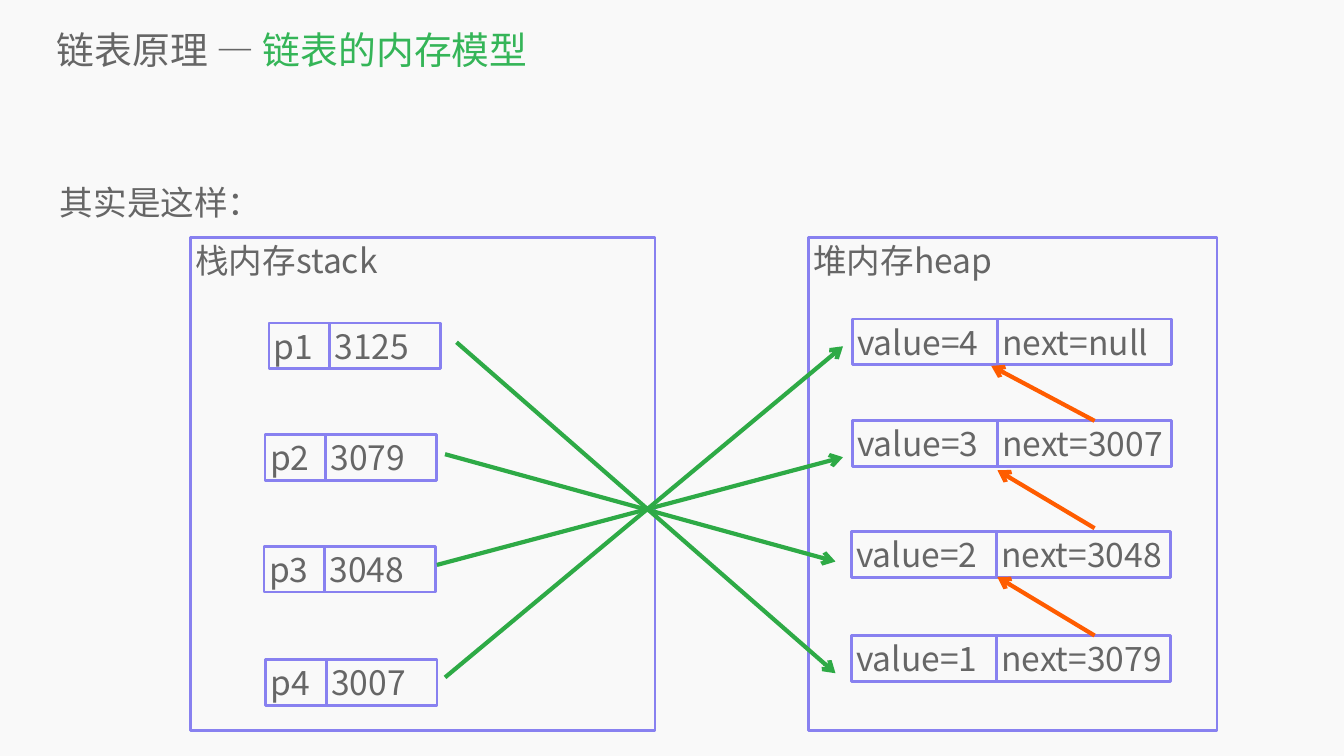
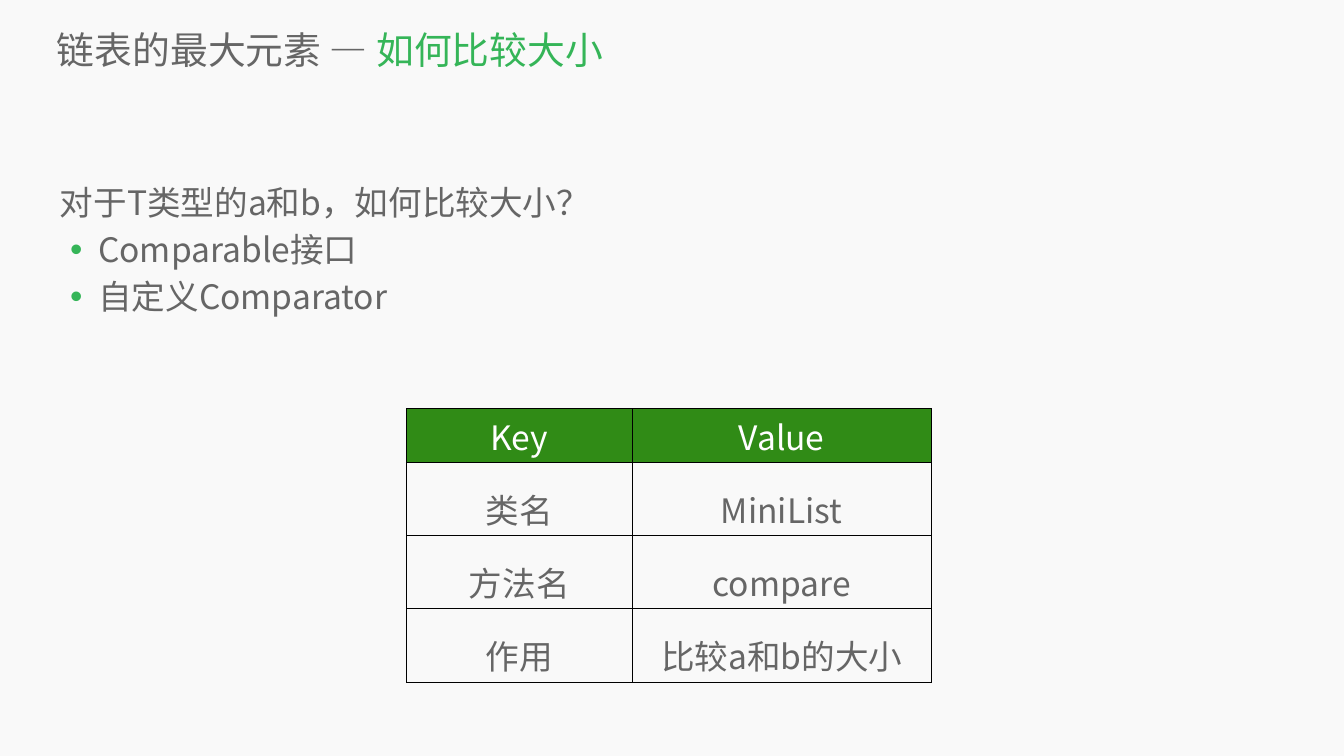
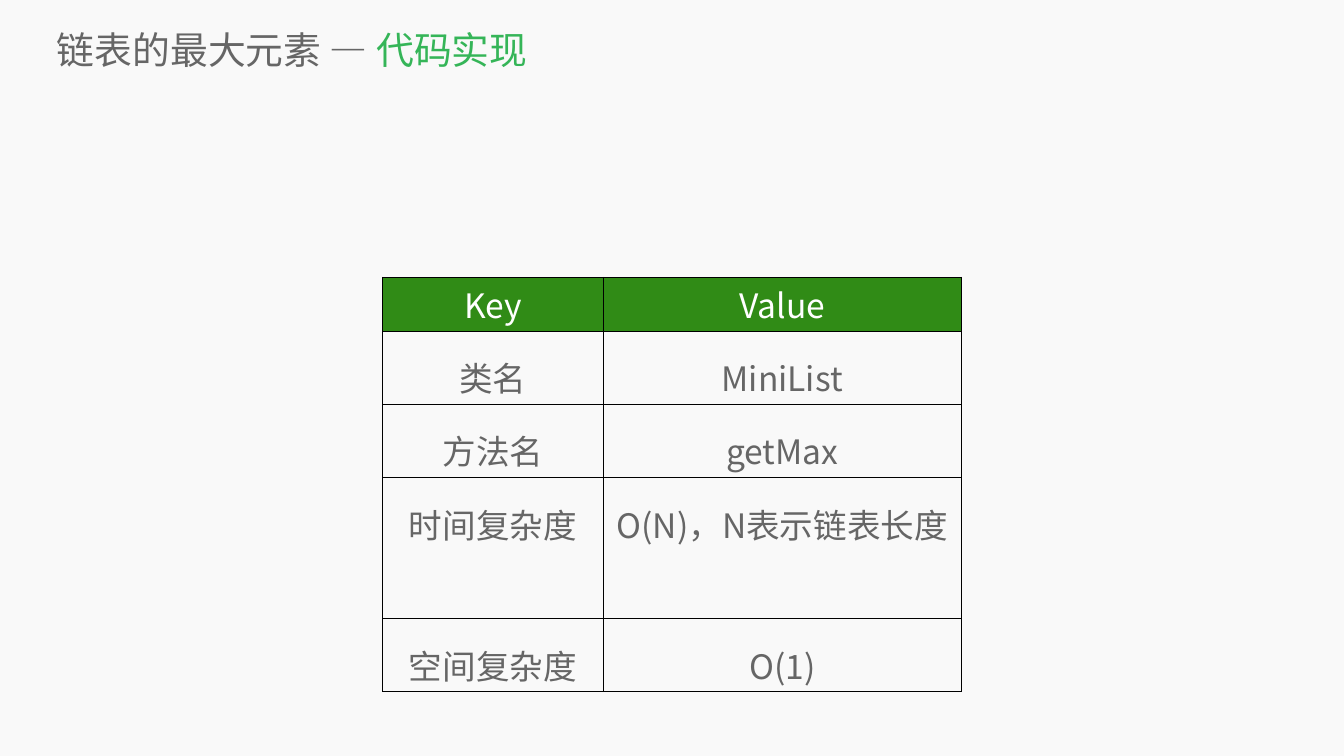
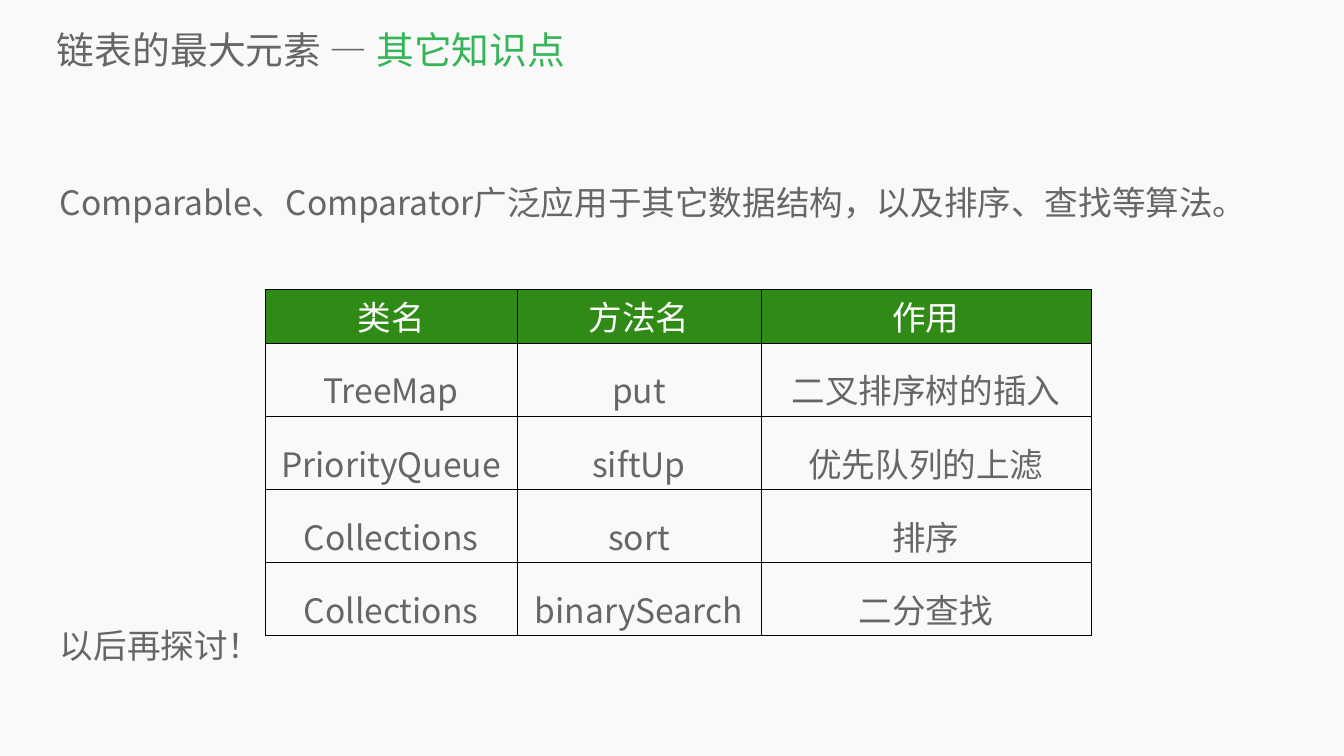
"""Build four slides on linked lists: memory model, comparison, code and related facts."""
from lxml import etree
from pptx import Presentation
from pptx.dml.color import RGBColor
from pptx.enum.shapes import MSO_CONNECTOR, MSO_SHAPE
from pptx.enum.text import MSO_ANCHOR, MSO_AUTO_SIZE, PP_ALIGN
from pptx.oxml import parse_xml
from pptx.oxml.ns import nsdecls, qn
from pptx.util import Cm, Pt

FONT = "Noto Sans CJK SC"
PAPER = RGBColor(0xF9, 0xF9, 0xF9)
GRAY = RGBColor(0x66, 0x66, 0x66)
GREEN = RGBColor(0x35, 0xB5, 0x58)
HEAD = RGBColor(0x30, 0x8B, 0x16)
WHITE = RGBColor(0xFF, 0xFF, 0xFF)
EDGE = RGBColor(0x88, 0x81, 0xF0)
LINK = RGBColor(0x2E, 0xAA, 0x46)
NEXT = RGBColor(0xFF, 0x5C, 0x00)
RECT = MSO_SHAPE.RECTANGLE
LINE = MSO_CONNECTOR.STRAIGHT
TOP, MID = MSO_ANCHOR.TOP, MSO_ANCHOR.MIDDLE
LEFT, CENTER = PP_ALIGN.LEFT, PP_ALIGN.CENTER
FIXED = MSO_AUTO_SIZE.NONE


def write(para, text, size=48, color=GRAY, align=LEFT, space=1.0, before=0, dot=False):
    """Add a run of text to a paragraph and format both."""
    if dot:
        props = para._p.get_or_add_pPr()
        props.set("marL", str(Cm(1.93)))
        props.set("indent", str(Cm(-1.42)))
        tint = etree.SubElement(props, qn("a:buClr"))
        etree.SubElement(tint, qn("a:srgbClr"), val=str(GREEN))
        etree.SubElement(props, qn("a:buSzPct"), val="105000")
        etree.SubElement(props, qn("a:buFont"), typeface="Arial")
        etree.SubElement(props, qn("a:buChar"), char="•")
    para.alignment = align
    para.line_spacing = space
    para.space_before = Pt(before)
    run = para.add_run()
    run.text = text
    font = run.font
    font.name, font.size, font.bold = FONT, Pt(size), False
    font.color.rgb = color
    etree.SubElement(run._r.get_or_add_rPr(), qn("a:ea"), typeface=FONT)


def box(shapes, text, x, y, w, h):
    """Draw an outlined box with text at its top left."""
    shape = shapes.add_shape(RECT, Cm(x), Cm(y), Cm(w), Cm(h))
    shape.shadow.inherit = False
    shape.fill.background()
    shape.line.color.rgb = EDGE
    shape.line.width = Pt(4)
    frame = shape.text_frame
    frame.vertical_anchor = TOP
    frame.auto_size = FIXED
    write(frame.paragraphs[0], text)


deck = Presentation()
deck.slide_width, deck.slide_height = Cm(67.74), Cm(38.1)
back = deck.slide_master.background.fill
back.solid()
back.fore_color.rgb = PAPER

MAX = "链表的最大元素 — "
pages = [
    ("链表原理 — ", "链表的内存模型", [("其实是这样：", {})]),
    (MAX, "如何比较大小", [
        ("对于T类型的a和b，如何比较大小？", {}),
        ("Comparable接口", {"dot": True}),
        ("自定义Comparator", {"dot": True}),
    ]),
    (MAX, "代码实现", []),
    (MAX, "其它知识点", [
        ("Comparable、Comparator广泛应用于其它数据结构，以及排序、查找等算法。", {}),
        ("以后再探讨！", {"before": 565}),
    ]),
]
slides = []
for topic, part, lines in pages:
    slide = deck.slides.add_slide(deck.slide_layouts[0])
    slides.append(slide)
    title, body = slide.placeholders
    title.left, title.top, title.width, title.height = Cm(2.87), Cm(1.19), Cm(63.91), Cm(2.59)
    body.left, body.top, body.width, body.height = Cm(3.02), Cm(8.86), Cm(61.67), Cm(28.55)
    for holder, anchor in ((title, MID), (body, TOP)):
        frame = holder.text_frame
        frame.margin_left = frame.margin_right = frame.margin_top = frame.margin_bottom = 0
        frame.vertical_anchor = anchor
        frame.auto_size = FIXED
    head = title.text_frame.paragraphs[0]
    write(head, topic, size=54)
    write(head, part, size=54, color=GREEN)
    for i, (text, style) in enumerate(lines):
        frame = body.text_frame
        para = frame.add_paragraph() if i else frame.paragraphs[0]
        write(para, text, space=1.16, **style)
    if not lines:
        body.element.getparent().remove(body.element)

shapes = slides[0].shapes
box(shapes, "堆内存heap", 40.74, 11.96, 20.6, 24.87)
box(shapes, "栈内存stack", 9.6, 11.96, 23.42, 24.87)

STACK, HEAP = (3.05, 5.59), (7.32, 8.79)
pairs = [
    ("p1", "3125", 13.56, 16.28, STACK),
    ("p2", "3079", 13.36, 21.89, STACK),
    ("p3", "3048", 13.31, 27.53, STACK),
    ("p4", "3007", 13.39, 33.25, STACK),
    ("value=4", "next=null", 42.95, 16.08, HEAP),
    ("value=3", "next=3007", 42.95, 21.21, HEAP),
    ("value=2", "next=3048", 42.9, 26.8, HEAP),
    ("value=1", "next=3079", 42.9, 32.03, HEAP),
]
for key, val, x, y, (left, right) in pairs:
    group = shapes.add_group_shape().shapes
    box(group, key, x, y, left, 2.31)
    box(group, val, x + left, y, right, 2.31)

arrows = [
    (LINK, 22.43, 34.14, 42.49, 17.45),
    (LINK, 22.02, 28.47, 42.49, 23.04),
    (LINK, 22.43, 22.89, 42.11, 28.3),
    (LINK, 23.01, 17.25, 42.11, 33.93),
    (NEXT, 55.17, 26.62, 50.27, 23.7),
    (NEXT, 55.17, 32.03, 50.27, 29.08),
    (NEXT, 55.17, 21.21, 49.96, 18.44),
]
for color, *ends in arrows:
    arrow = shapes.add_connector(LINE, *[Cm(end) for end in ends])
    arrow.line.color.rgb = color
    arrow.line.width = Pt(6)
    etree.SubElement(arrow.line._get_or_add_ln(), qn("a:tailEnd"), type="arrow")
    etree.SubElement(arrow._element.spPr, qn("a:effectLst"))

grids = [
    (slides[1], 20.5, 20.6, (11.35, 15.09), [
        ("Key", "Value"),
        ("类名", "MiniList"),
        ("方法名", "compare"),
        ("作用", "比较a和b的大小"),
    ]),
    (slides[2], 19.28, 13.97, (11.13, 18.03), [
        ("Key", "Value"),
        ("类名", "MiniList"),
        ("方法名", "getMax"),
        ("时间复杂度", "O(N)，N表示链表长度"),
        ("空间复杂度", "O(1)"),
    ]),
    (slides[3], 13.36, 14.58, (12.7, 12.29, 16.64), [
        ("类名", "方法名", "作用"),
        ("TreeMap", "put", "二叉排序树的插入"),
        ("PriorityQueue", "siftUp", "优先队列的上滤"),
        ("Collections", "sort", "排序"),
        ("Collections", "binarySearch", "二分查找"),
    ]),
]
for slide, x, y, cols, rows in grids:
    table = slide.shapes.add_table(
        len(rows), len(cols), Cm(x), Cm(y), Cm(sum(cols)), Cm(2.11 * len(rows))).table
    table.first_row = table.horz_banding = False
    for col, width in zip(table.columns, cols):
        col.width = Cm(width)
    for r, row in enumerate(rows):
        for c, text in enumerate(row):
            cell = table.cell(r, c)
            para = cell.text_frame.paragraphs[0]
            props = cell._tc.get_or_add_tcPr()
            for side in ("lnL", "lnR", "lnT", "lnB"):
                props.append(parse_xml(
                    f'<a:{side} {nsdecls("a")} w="12700"><a:solidFill>'
                    f'<a:srgbClr val="000000"/></a:solidFill></a:{side}>'))
            if r == 0:
                cell.fill.solid()
                cell.fill.fore_color.rgb = HEAD
                write(para, text, color=WHITE, align=CENTER)
            else:
                cell.fill.background()
                write(para, text, align=CENTER, space=1.4)

deck.save("out.pptx")
